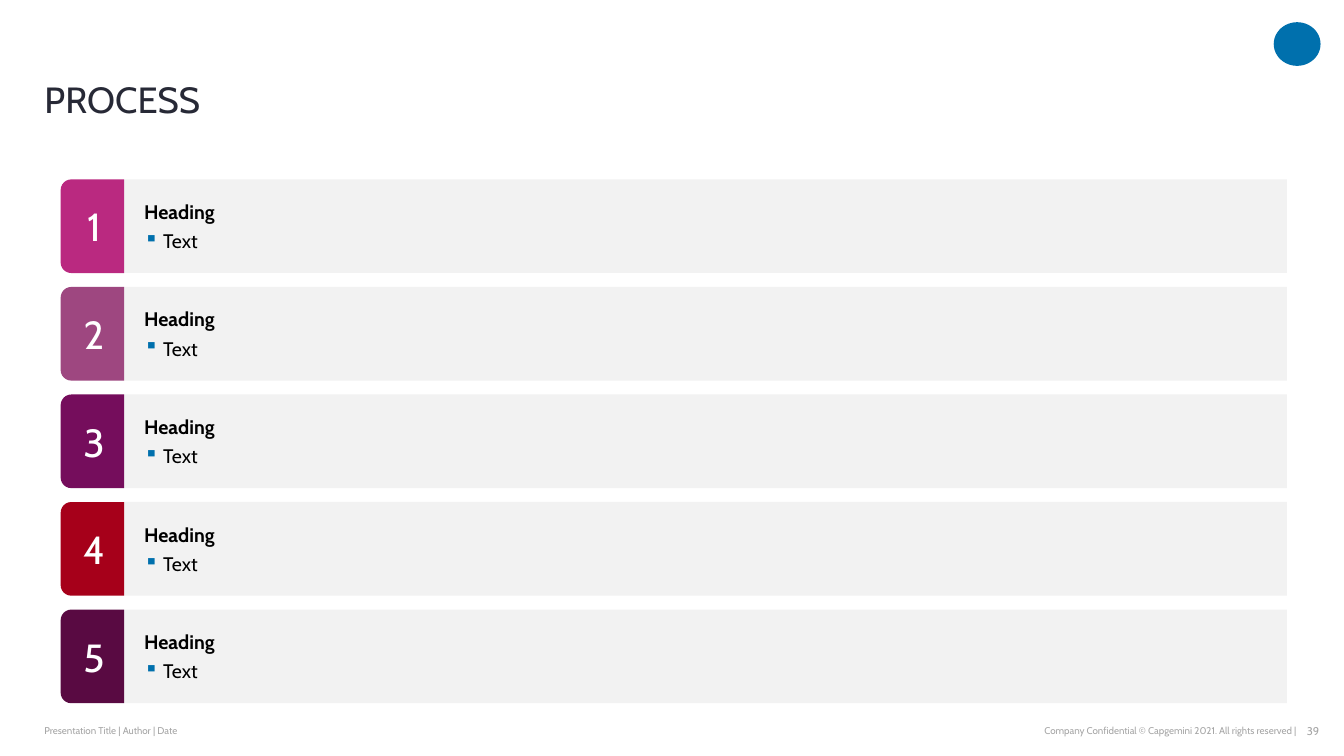
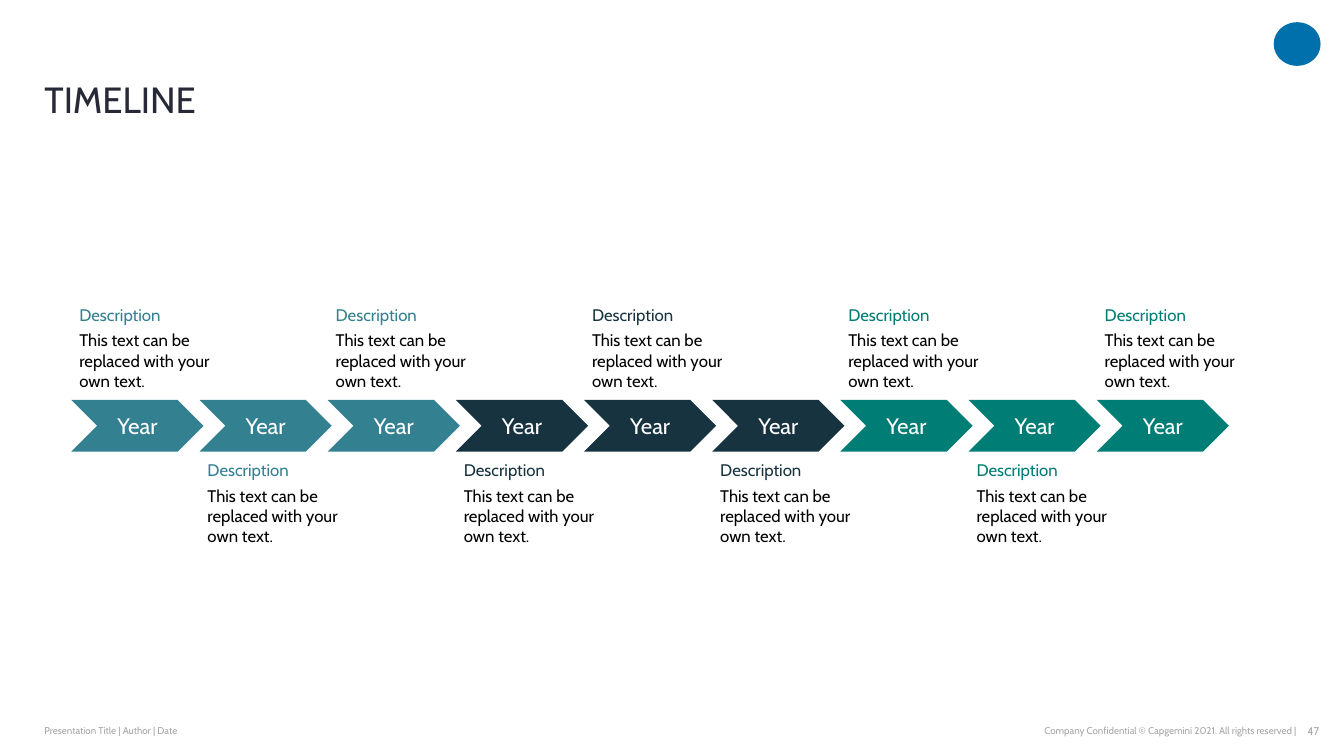
import lxml.etree
import pptx
import pptx.dml.color
import pptx.enum.shapes
import pptx.enum.text
import pptx.oxml.ns
import pptx.util

Cm = pptx.util.Cm
Pt = pptx.util.Pt
RGBColor = pptx.dml.color.RGBColor
Shape = pptx.enum.shapes.MSO_SHAPE
Align = pptx.enum.text.PP_ALIGN
Anchor = pptx.enum.text.MSO_ANCHOR

WHITE = RGBColor(0xFF, 0xFF, 0xFF)
BLACK = RGBColor(0x00, 0x00, 0x00)
INK = RGBColor(0x27, 0x29, 0x36)
GREY = RGBColor(0xA6, 0xA6, 0xA6)
PALE_GREY = RGBColor(0xF2, 0xF2, 0xF2)
BLUE = RGBColor(0x00, 0x70, 0xAD)
PINK = RGBColor(0xBA, 0x29, 0x80)
MAUVE = RGBColor(0x9E, 0x47, 0x80)
PURPLE = RGBColor(0x75, 0x0D, 0x5C)
RED = RGBColor(0xA6, 0x00, 0x1A)
PLUM = RGBColor(0x59, 0x0A, 0x42)
STEEL = RGBColor(0x33, 0x80, 0x91)
NAVY = RGBColor(0x17, 0x33, 0x40)
TEAL = RGBColor(0x00, 0x7D, 0x74)


class Deck:
    """Holds the presentation, its style and the slide being built."""

    FONT = "Cabin"
    TITLE_ONLY = 5

    def __init__(self):
        self.presentation = pptx.Presentation()
        self.presentation.slide_width = Cm(33.87)
        self.presentation.slide_height = Cm(19.05)
        self.slide = None

    def add_slide(self, title, number):
        layout = self.presentation.slide_layouts[self.TITLE_ONLY]
        self.slide = self.presentation.slides.add_slide(layout)
        self.title(title)
        self.shape(Shape.OVAL, 32.1, 0.56, 1.18, 1.1, BLUE)
        self.footer(1.12, 9.47, "Presentation Title | Author | Date", Align.LEFT)
        self.footer(20.07, 12.6,
                    "Company Confidential © Capgemini 2021. All rights reserved |",
                    Align.RIGHT)
        self.footer(32.61, 0.64, str(number), Align.RIGHT, size=8)

    def title(self, text):
        shape = self.slide.shapes.title
        shape.left, shape.top = Cm(1.12), Cm(1.07)
        shape.width, shape.height = Cm(30.4), Cm(1.98)
        self.frame(shape, Anchor.BOTTOM)
        paragraph = self.paragraph(shape, text, 26, INK)
        paragraph.line_spacing = 0.9

    def footer(self, left, width, text, alignment, size=7):
        shape = self.text_box(left, 18.11, width, 0.61, Anchor.MIDDLE)
        self.paragraph(shape, text, size, GREY, alignment)

    def text_box(self, left, top, width, height, anchor=Anchor.TOP, margins=(0, 0)):
        shape = self.slide.shapes.add_textbox(Cm(left), Cm(top), Cm(width), Cm(height))
        self.frame(shape, anchor, margins)
        return shape

    def shape(self, kind, left, top, width, height, color):
        shape = self.slide.shapes.add_shape(
            kind, Cm(left), Cm(top), Cm(width), Cm(height))
        shape.shadow.inherit = False
        shape.fill.solid()
        shape.fill.fore_color.rgb = color
        shape.line.fill.background()
        return shape

    def frame(self, shape, anchor, margins=(0, 0)):
        """Set wrapping, anchor and the (side, top and bottom) margins in cm."""
        frame = shape.text_frame
        frame.word_wrap = True
        frame.auto_size = pptx.enum.text.MSO_AUTO_SIZE.NONE
        frame.vertical_anchor = anchor
        frame.margin_left = frame.margin_right = Cm(margins[0])
        frame.margin_top = frame.margin_bottom = Cm(margins[1])

    def paragraph(self, shape, text, size, color, alignment=Align.LEFT,
                  bold=False, bullet=False, before=0, after=0):
        """Fill the empty first paragraph, or append one after it."""
        frame = shape.text_frame
        paragraph = frame.add_paragraph() if frame.text else frame.paragraphs[0]
        paragraph.text = text
        if bullet:
            self.bullet(paragraph)
        paragraph.alignment = alignment
        paragraph.space_before = Pt(before)
        paragraph.space_after = Pt(after)
        paragraph.font.name = self.FONT
        paragraph.font.size = Pt(size)
        paragraph.font.bold = bold
        paragraph.font.color.rgb = color
        return paragraph

    def bullet(self, paragraph):
        qn = pptx.oxml.ns.qn
        properties = paragraph._p.get_or_add_pPr()
        properties.set("marL", str(Cm(0.48)))
        properties.set("indent", str(-Cm(0.48)))
        bullet_color = lxml.etree.SubElement(properties, qn("a:buClr"))
        lxml.etree.SubElement(bullet_color, qn("a:srgbClr"), val=str(BLUE))
        lxml.etree.SubElement(properties, qn("a:buChar"), char="▪")

    def number_tab(self, left, top, width, height, number, color):
        """Draw a tab rounded on its left side, with an upright number."""
        turn = (height - width) / 2
        shape = self.shape(Shape.ROUND_2_SAME_RECTANGLE, left - turn, top + turn,
                           height, width, color)
        shape.rotation = 270
        self.frame(shape, Anchor.MIDDLE, (0.13, 0.13))
        shape.element.txBody.bodyPr.set("vert", "vert")
        self.paragraph(shape, str(number), 28, WHITE, Align.CENTER, after=2)

    def step(self, top, number, color):
        height = 2.36
        bar = self.shape(Shape.RECTANGLE, 3.12, top, 29.31, height, PALE_GREY)
        self.frame(bar, Anchor.MIDDLE, (0.51, 0.13))
        self.paragraph(bar, "Heading", 14, BLACK, bold=True, after=2)
        self.paragraph(bar, "Text", 14, BLACK, bullet=True, before=2, after=2)
        self.number_tab(1.53, top, 1.6, height, number, color)

    def milestone(self, left, description_top, color):
        chevron = self.shape(Shape.CHEVRON, left, 10.08, 3.33, 1.3, color)
        self.frame(chevron, Anchor.MIDDLE)
        self.paragraph(chevron, "Year", 16, WHITE, Align.CENTER)
        box = self.text_box(left, description_top, 4.22, 2.82, margins=(0.2, 0.13))
        self.paragraph(box, "Description", 12, color, after=4)
        self.paragraph(box, "This text can be replaced with your own text.",
                       12, BLACK, after=4)


def add_process(deck):
    deck.add_slide("PROCESS", 39)
    for index, color in enumerate((PINK, MAUVE, PURPLE, RED, PLUM)):
        deck.step(4.52 + index * 2.71, index + 1, color)


def add_timeline(deck):
    deck.add_slide("TIMELINE", 47)
    colors = [color for color in (STEEL, NAVY, TEAL) for _ in range(3)]
    for index, color in enumerate(colors):
        description_top = 11.46 if index % 2 else 7.54
        deck.milestone(1.8 + index * 3.23, description_top, color)


def main():
    deck = Deck()
    add_process(deck)
    add_timeline(deck)
    deck.presentation.save("out.pptx")


if __name__ == "__main__":
    main()
